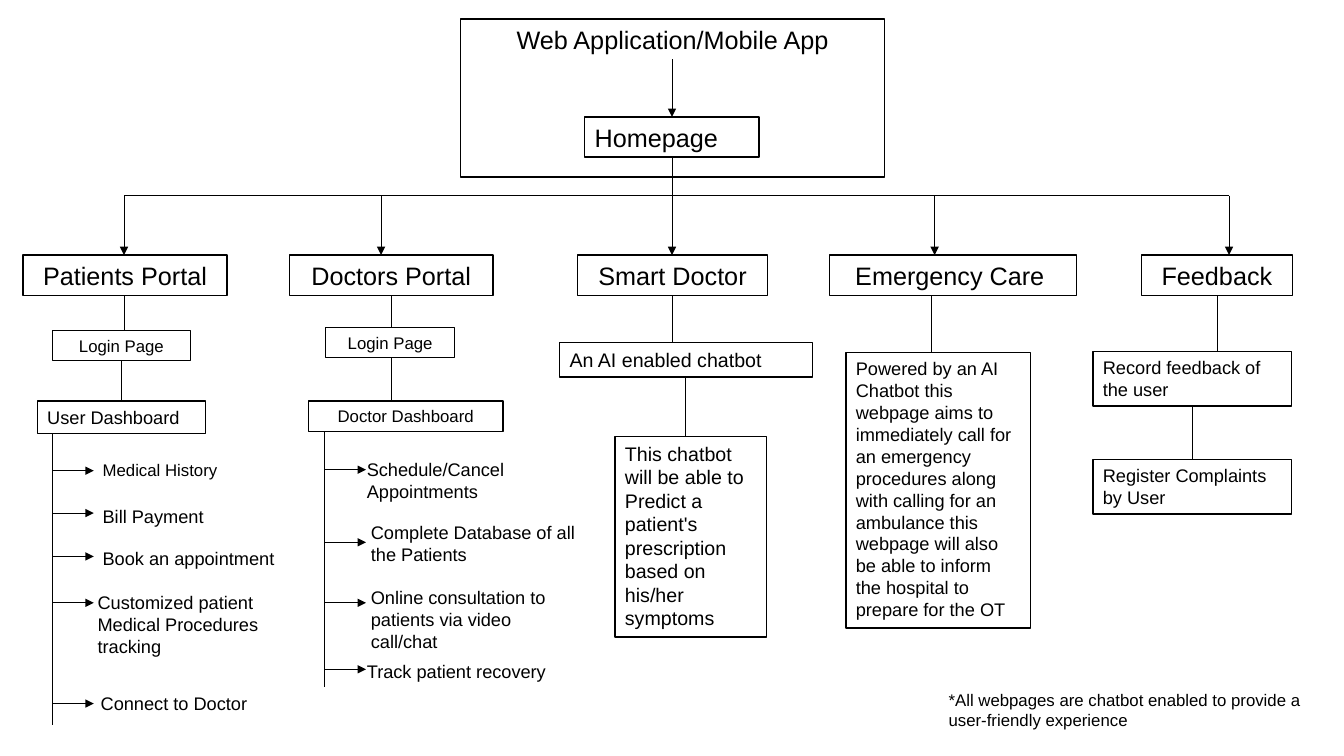
"""Builds a slide with the page tree of a health care web and mobile app."""
from lxml.etree import SubElement
from pptx import Presentation
from pptx.dml.color import RGBColor
from pptx.enum.shapes import MSO_CONNECTOR as Connector, MSO_SHAPE as Shape
from pptx.enum.text import MSO_ANCHOR as Anchor, MSO_AUTO_SIZE as AutoSize, PP_ALIGN as Align
from pptx.oxml.ns import qn
from pptx.util import Inches, Pt

BLACK = RGBColor(0, 0, 0)
WHITE = RGBColor(255, 255, 255)
FONT = "Arial"
L, C = Align.LEFT, Align.CENTER

SLIDE_W, SLIDE_H = 13.33, 7.5
TRUNK = SLIDE_W / 2
BUS, PORTAL_ROW, PORTAL_H = 1.94, 2.53, 0.4

TITLE = ("Web Application/Mobile App", 4.57, 0.19, 4.2, 0.4, 18, C)
HOME = ("Homepage", 5.8, 1.16, 1.73, 0.4, 18, L)

# text, left, width, arrow x
PORTALS = [
    ("Patients Portal", 0.23, 2.02, 1.23),
    ("Doctors Portal", 2.87, 2.02, 3.78),
    ("Smart Doctor", 5.73, 1.88, TRUNK),
    ("Emergency Care ", 8.23, 2.45, 9.27),
    ("Feedback", 11.32, 1.5, 12.19),
]

# per portal: (stem x, (text, left, top, width, height, size, align))
BRANCHES = [
    [(1.23, ("Login Page", 0.52, 3.28, 1.37, 0.3, 12, C)),
     (1.2, ("User Dashboard", 0.37, 3.98, 1.67, 0.32, 13, L))],
    [(3.88, ("Login Page", 3.23, 3.25, 1.28, 0.3, 12, C)),
     (3.88, ("Doctor Dashboard", 3.06, 3.98, 1.93, 0.3, 12, C))],
    [(TRUNK, ("An AI enabled chatbot", 5.55, 3.4, 2.51, 0.34, 14, L)),
     (6.8, ("This chatbot will be able to Predict a patient's prescription "
            "based on his/her symptoms", 6.1, 4.33, 1.5, 1.99, 14, L))],
    [(9.24, ("Powered by an AI Chatbot this webpage aims to immediately call for an "
             "emergency procedures along with calling for an ambulance this webpage "
             "will also be able to inform the hospital to prepare for the OT",
             8.39, 3.5, 1.83, 2.73, 13, L))],
    [(12.07, ("Record feedback of the user", 10.84, 3.49, 1.97, 0.54, 13, L)),
     (11.83, ("Register Complaints by User", 10.84, 4.56, 1.97, 0.54, 13, L))],
]

# rail x, rail top, rail bottom, items: (arrow y, text, left, top, width, height, size, wrap)
DASHBOARDS = [
    (0.52, 4.3, 7.19, [
        (4.67, "Medical History", 0.92, 4.51, 1.44, 0.3, 12, False),
        (5.09, "Bill Payment", 0.92, 4.96, 1.26, 0.32, 13, False),
        (5.52, "Book an appointment", 0.92, 5.38, 2.14, 0.32, 13, False),
        (5.98, "Customized patient\nMedical Procedures tracking",
         0.87, 5.82, 1.93, 0.98, 13, True),
        (6.98, "Connect to Doctor", 0.9, 6.82, 1.88, 0.32, 13, False)]),
    (3.22, 4.29, 6.82, [
        (4.66, "Schedule/Cancel Appointments", 3.54, 4.5, 1.77, 0.54, 13, True),
        (5.38, "Complete Database of all\nthe Patients", 3.58, 5.12, 2.51, 0.54, 13, False),
        (5.98, "Online consultation to patients via video call/chat",
         3.58, 5.77, 2.25, 0.76, 13, True),
        (6.64, "Track patient recovery", 3.54, 6.5, 2.19, 0.32, 13, False)]),
]
TWIG = 0.41
NOTE = ("*All webpages are chatbot enabled to provide a user-friendly experience",
        9.31, 6.79, 3.71, 0.5, 12)


def write(sp, text, size, align=L, wrap=True):
    tf = sp.text_frame
    tf.word_wrap = wrap
    tf.auto_size = AutoSize.SHAPE_TO_FIT_TEXT
    tf.vertical_anchor = Anchor.TOP
    for i, line in enumerate(text.split("\n")):
        p = tf.add_paragraph() if i else tf.paragraphs[0]
        p.alignment = align
        r = p.add_run()
        r.text = line
        r.font.name, r.font.size, r.font.color.rgb = FONT, Pt(size), BLACK


def outline(sp):
    sp.fill.solid()
    sp.fill.fore_color.rgb = WHITE
    sp.line.color.rgb = BLACK
    sp.line.width = Pt(1)


def box(s, text, x, y, w, h, size, align):
    sp = s.shapes.add_shape(Shape.RECTANGLE, *map(Inches, (x, y, w, h)))
    sp.shadow.inherit = False
    outline(sp)
    write(sp, text, size, align)


def label(s, text, x, y, w, h, size, wrap=True):
    write(s.shapes.add_textbox(*map(Inches, (x, y, w, h))), text, size, wrap=wrap)


def line(s, x1, y1, x2, y2, arrow=False):
    c = s.shapes.add_connector(Connector.STRAIGHT, *map(Inches, (x1, y1, x2, y2)))
    c.line.color.rgb = BLACK
    c.line.width = Pt(0.5)
    if arrow:
        SubElement(c.line._get_or_add_ln(), qn("a:tailEnd"), type="triangle")
    SubElement(c._element.spPr, qn("a:effectLst"))


def add_title(s):
    text, x, y, w, h, size, align = TITLE
    sp = s.shapes.title
    sp.left, sp.top, sp.width, sp.height = map(Inches, (x, y, w, h))
    outline(sp)
    write(sp, text, size, align)


def main():
    prs = Presentation()
    prs.slide_width, prs.slide_height = Inches(SLIDE_W), Inches(SLIDE_H)
    s = prs.slides.add_slide(prs.slide_layouts[5])

    add_title(s)
    line(s, TRUNK, TITLE[2] + TITLE[4], TRUNK, HOME[2], arrow=True)
    box(s, *HOME)
    line(s, TRUNK, HOME[2] + HOME[4], TRUNK, BUS)
    line(s, PORTALS[0][3], BUS, PORTALS[-1][3], BUS)

    for (text, x, w, arrow_x), branch in zip(PORTALS, BRANCHES):
        line(s, arrow_x, BUS, arrow_x, PORTAL_ROW, arrow=True)
        box(s, text, x, PORTAL_ROW, w, PORTAL_H, 18, C)
        bottom = PORTAL_ROW + PORTAL_H
        for stem_x, page in branch:
            line(s, stem_x, bottom, stem_x, page[2])
            box(s, *page)
            bottom = page[2] + page[4]

    for rail, top, bottom, items in DASHBOARDS:
        line(s, rail, top, rail, bottom)
        for y, *item in items:
            line(s, rail, y, rail + TWIG, y, arrow=True)
            label(s, *item)

    label(s, *NOTE)
    prs.save("out.pptx")


if __name__ == "__main__":
    main()
